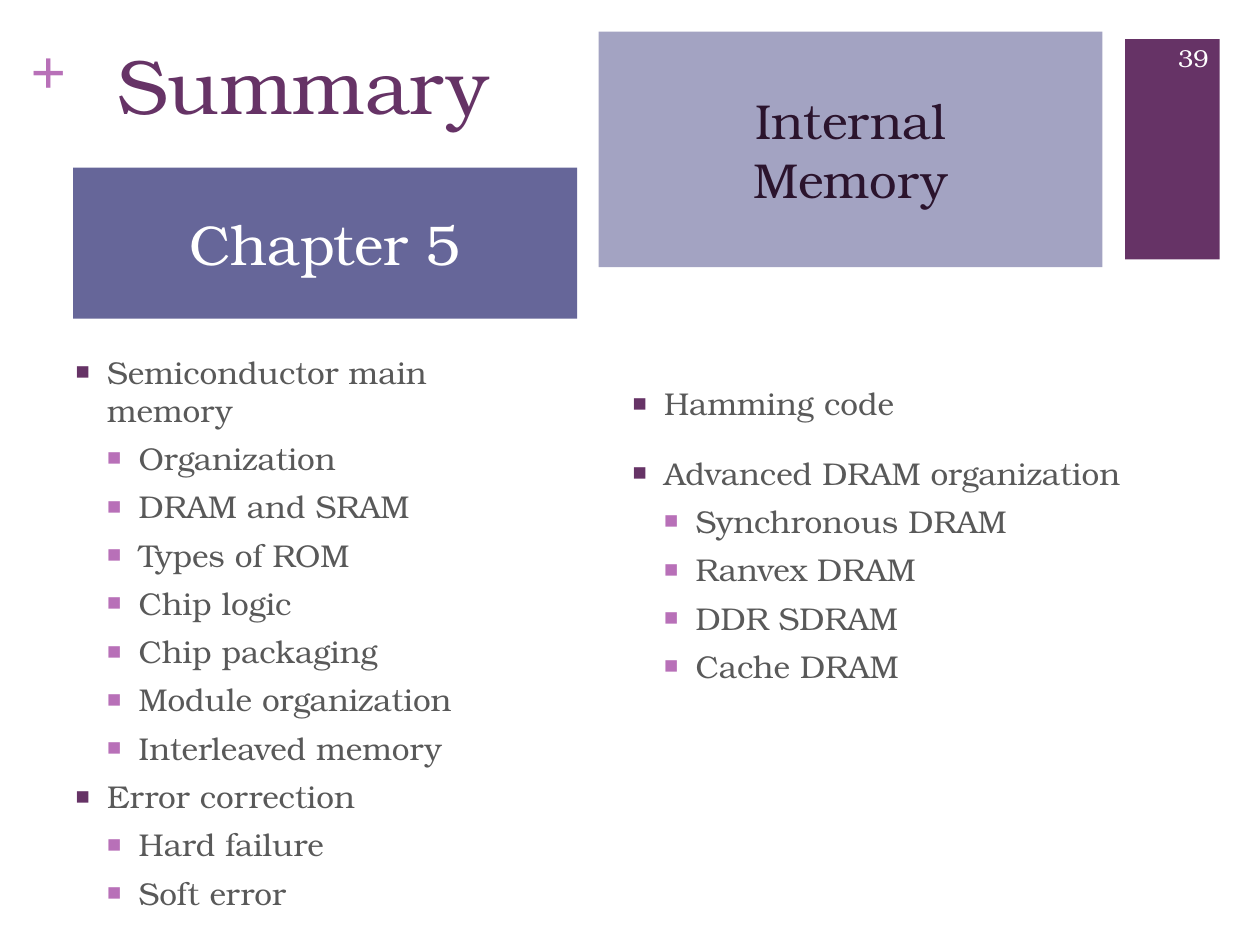
from typing import NamedTuple

from lxml import etree
from pptx import Presentation
from pptx import util as u
from pptx.dml import color
from pptx.enum import shapes, text
from pptx.oxml import ns

SERIF = "TeX Gyre Bonum"
PLUM, ORCHID, GREY, WHITE = "663366", "B870B8", "595959", "FFFFFF"
LEFT, MID, RIGHT = text.PP_ALIGN.LEFT, text.PP_ALIGN.CENTER, text.PP_ALIGN.RIGHT
TOP, HALF = text.MSO_ANCHOR.TOP, text.MSO_ANCHOR.MIDDLE


class Box(NamedTuple):
    x: float
    y: float
    w: float
    h: float


class Style(NamedTuple):
    size: float
    hue: str
    font: str = SERIF
    bold: bool = False


class Item(NamedTuple):
    words: str
    level: int = 0


class Column(NamedTuple):
    slot: int
    box: Box
    gap: float
    items: list[Item]


class Panel(NamedTuple):
    slot: int
    box: Box
    fill: str
    style: Style
    lines: list[str]


COLUMNS = [
    Column(2, Box(0.5, 2.75, 4, 4.75), 6, [
        Item("Semiconductor main memory"),
        Item("Organization", 1),
        Item("DRAM and SRAM", 1),
        Item("Types of ROM", 1),
        Item("Chip logic", 1),
        Item("Chip packaging", 1),
        Item("Module organization", 1),
        Item("Interleaved memory", 1),
        Item("Error correction"),
        Item("Hard failure", 1),
        Item("Soft error", 1),
    ]),
    Column(4, Box(4.92, 3, 4.17, 4.75), 18, [
        Item("Hamming code"),
        Item("Advanced DRAM organization"),
        Item("Synchronous DRAM", 1),
        Item("Ranvex DRAM", 1),
        Item("DDR SDRAM", 1),
        Item("Cache DRAM", 1),
    ]),
]
PANELS = [
    Panel(1, Box(0.58, 1.33, 4, 1.2), "666699", Style(32, WHITE), ["Chapter 5"]),
    Panel(3, Box(4.75, 0.25, 4, 1.87), "A3A3C2", Style(28, "2B142D"),
          ["Internal", "Memory"]),
]


def rgb(hue: str) -> color.RGBColor:
    """Turn a hex string into a colour."""
    return color.RGBColor.from_string(hue)


def place(shape, box: Box) -> None:
    """Move and size a shape."""
    shape.left, shape.top, shape.width, shape.height = map(u.Inches, box)


def paint(shape, hue: str) -> None:
    """Give a shape a plain fill and no line."""
    shape.fill.solid()
    shape.fill.fore_color.rgb = rgb(hue)
    shape.line.fill.background()


def write(shape, lines: list[str], style: Style, align=LEFT, anchor=TOP,
          pad: tuple[float, float] = (0.1, 0.05)) -> list:
    """Fill a shape with one run per paragraph and return the paragraphs."""
    frame = shape.text_frame
    frame.word_wrap = True
    frame.auto_size = text.MSO_AUTO_SIZE.NONE
    frame.vertical_anchor = anchor
    frame.margin_left = frame.margin_right = u.Inches(pad[0])
    frame.margin_top = frame.margin_bottom = u.Inches(pad[1])
    paras = []
    for i, line in enumerate(lines):
        para = frame.add_paragraph() if i else frame.paragraphs[0]
        para.alignment = align
        para.space_before = u.Pt(0)
        run = para.add_run()
        run.text = line
        run.font.size = u.Pt(style.size)
        run.font.name = style.font
        run.font.bold = style.bold
        run.font.color.rgb = rgb(style.hue)
        paras.append(para)
    return paras


def bullet(para, level: int) -> None:
    """Indent a paragraph and give it a square bullet."""
    props = para._p.get_or_add_pPr()
    props.set("marL", str(u.Inches(0.25 * (level + 1))))
    props.set("indent", str(u.Inches(-0.25)))
    tint = etree.SubElement(props, ns.qn("a:buClr"))
    etree.SubElement(tint, ns.qn("a:srgbClr"), val=ORCHID if level else PLUM)
    etree.SubElement(props, ns.qn("a:buSzPct"), val="75000")
    etree.SubElement(props, ns.qn("a:buChar"), char="■")


def draw_list(slide, col: Column) -> None:
    """Fill a list placeholder."""
    shape = slide.placeholders[col.slot]
    place(shape, col.box)
    paras = write(shape, [item.words for item in col.items], Style(18, GREY))
    for para, item in zip(paras, col.items):
        para.level = item.level
        para.space_before = u.Pt(6 if item.level else col.gap)
        bullet(para, item.level)


def draw_panel(slide, panel: Panel) -> None:
    """Fill a coloured heading placeholder."""
    shape = slide.placeholders[panel.slot]
    place(shape, panel.box)
    paint(shape, panel.fill)
    write(shape, panel.lines, panel.style, MID, HALF, (0.1, 0))


def main() -> None:
    """Build the summary slide."""
    deck = Presentation()
    deck.slide_width, deck.slide_height = u.Inches(10), u.Inches(7.5)
    slide = deck.slides.add_slide(deck.slide_layouts[4])

    bar = slide.shapes.add_shape(
        shapes.MSO_SHAPE.RECTANGLE, *map(u.Inches, Box(8.93, 0.31, 0.75, 1.75)))
    bar.shadow.inherit = False
    paint(bar, PLUM)

    plus = slide.shapes.add_textbox(*map(u.Inches, Box(0.24, 0.25, 0.29, 0.61)))
    write(plus, ["+"], Style(36, ORCHID, "Times New Roman", True), pad=(0, 0))

    title = slide.shapes.title
    place(title, Box(0.83, 0.25, 3.75, 1.22))
    write(title, ["Summary"], Style(44, PLUM))

    for col in COLUMNS:
        draw_list(slide, col)
    for panel in PANELS:
        draw_panel(slide, panel)

    page = slide.shapes.add_textbox(*map(u.Inches, Box(9.08, 0.26, 0.61, 0.4)))
    write(page, ["39"], Style(14, WHITE), RIGHT, HALF)

    deck.save("out.pptx")


if __name__ == "__main__":
    main()
